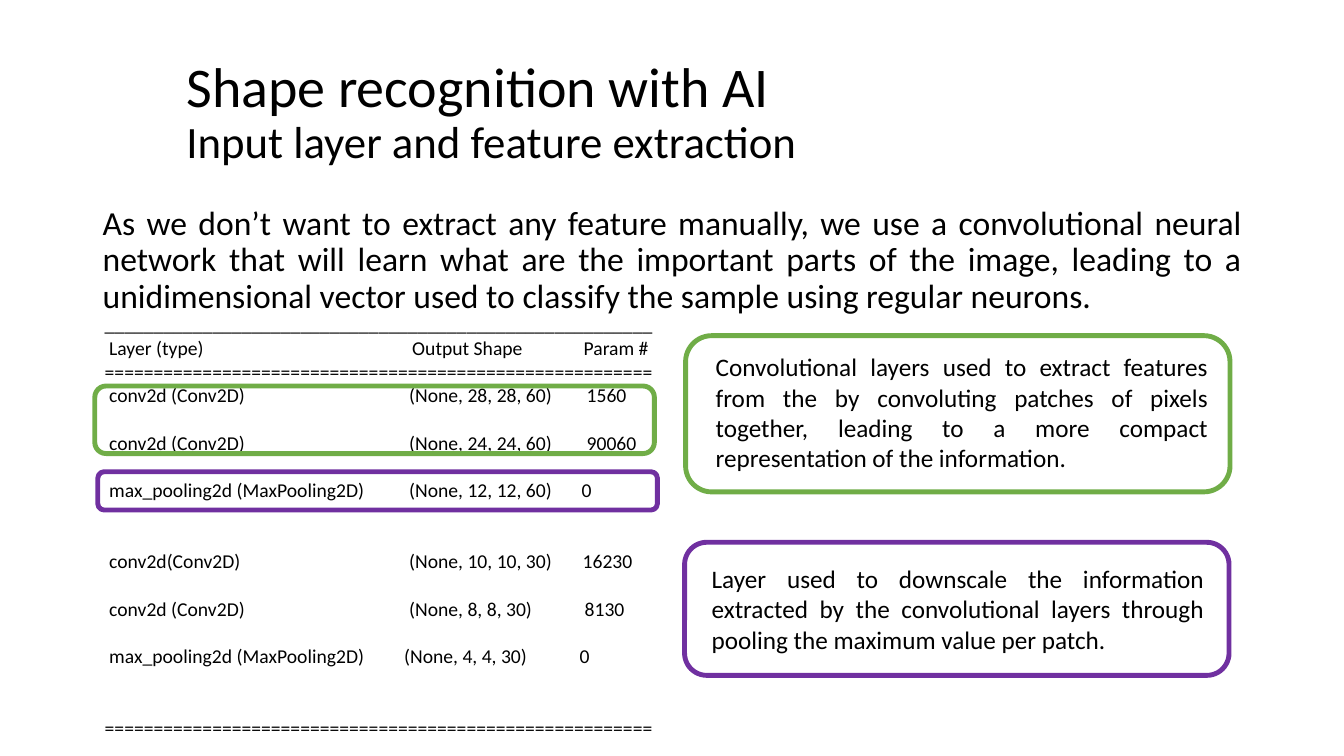
from dataclasses import dataclass
from typing import Any

from lxml.etree import SubElement
from pptx import Presentation
from pptx.dml.color import RGBColor
from pptx.enum.shapes import MSO_SHAPE
from pptx.enum.text import MSO_ANCHOR, PP_ALIGN
from pptx.oxml.ns import qn
from pptx.slide import Slide
from pptx.util import Inches, Pt


@dataclass(frozen=True)
class Theme:
    font: str = "Calibri"
    ink: RGBColor = RGBColor(0, 0, 0)
    convolution: RGBColor = RGBColor(0x70, 0xAD, 0x47)
    pooling: RGBColor = RGBColor(0x70, 0x30, 0xA0)
    title: float = 40
    subtitle: float = 32
    body: float = 24
    note: float = 18
    summary: float = 14
    outline: float = 3.5


@dataclass(frozen=True)
class Box:
    left: float
    top: float
    width: float
    height: float

    def lengths(self) -> tuple[int, ...]:
        return tuple(map(Inches, (self.left, self.top, self.width, self.height)))


@dataclass(frozen=True)
class Line:
    text: str
    size: float
    format: dict[str, Any]
    stops: tuple[float, ...] = ()


@dataclass(frozen=True)
class Layer:
    name: str
    shape: str
    params: str
    shape_at: float
    params_at: float
    blank_lines: int


@dataclass(frozen=True)
class Frame:
    box: Box
    color: RGBColor


THEME = Theme()
SUMMARY_PITCH = 17.1
RULE_LENGTH = 56
TIGHT = {"line_spacing": 0.9}
JUSTIFIED = {"alignment": PP_ALIGN.JUSTIFY}

LAYERS = [
    Layer("conv2d (Conv2D)", "(None, 28, 28, 60)", "1560", 3.02, 4.78, 0),
    Layer("conv2d (Conv2D)", "(None, 24, 24, 60)", "90060", 3.02, 4.78, 1),
    Layer("max_pooling2d (MaxPooling2D)", "(None, 12, 12, 60)", "0", 3.02, 4.73, 1),
    Layer("conv2d(Conv2D)", "(None, 10, 10, 30)", "16230", 3.02, 4.74, 2),
    Layer("conv2d (Conv2D)", "(None, 8, 8, 30)", "8130", 3.02, 4.76, 1),
    Layer("max_pooling2d (MaxPooling2D)", "(None, 4, 4, 30)", "0", 2.97, 4.71, 1),
]
HEADER = Layer("Layer (type)", "Output Shape", "Param #", 3.05, 4.75, 0)

FRAMES = [
    Frame(Box(0.94, 3.83, 5.55, 0.67), THEME.convolution),
    Frame(Box(0.97, 4.68, 5.55, 0.38), THEME.pooling),
    Frame(Box(6.8, 3.33, 5.4, 1.55), THEME.convolution),
    Frame(Box(6.79, 5.38, 5.4, 1.32), THEME.pooling),
]

INTRO = (
    "As we don’t want to extract any feature manually, we use a convolutional "
    "neural network that will learn what are the important parts of the image, "
    "leading to a unidimensional vector used to classify the sample using "
    "regular neurons."
)
CONVOLUTION_NOTE = (
    "Convolutional layers used to extract features from the by convoluting "
    "patches of pixels together, leading to a more compact representation of "
    "the information."
)
POOLING_NOTE = (
    "Layer used to downscale the information extracted by the convolutional "
    "layers through pooling the maximum value per patch."
)


def layer_line(layer: Layer) -> Line:
    return Line(
        f" {layer.name}\t{layer.shape}\t{layer.params}",
        THEME.summary,
        {"space_before": Pt(layer.blank_lines * SUMMARY_PITCH)},
        (layer.shape_at, layer.params_at),
    )


def rule_line(mark: str, blank_lines: int = 0) -> Line:
    gap = Pt(blank_lines * SUMMARY_PITCH)
    return Line(mark * RULE_LENGTH, THEME.summary, {"space_before": gap})


def add_text(slide: Slide, box: Box, lines: list[Line],
             anchor: MSO_ANCHOR = MSO_ANCHOR.TOP) -> None:
    frame = slide.shapes.add_textbox(*box.lengths()).text_frame
    frame.word_wrap = True
    frame.vertical_anchor = anchor
    for index, line in enumerate(lines):
        paragraph = frame.add_paragraph() if index else frame.paragraphs[0]
        for attribute, value in line.format.items():
            setattr(paragraph, attribute, value)
        if line.stops:
            tabs = SubElement(paragraph._p.get_or_add_pPr(), qn("a:tabLst"))
            for stop in line.stops:
                SubElement(tabs, qn("a:tab"), pos=str(Inches(stop)), algn="l")
        run = paragraph.add_run()
        run.text = line.text
        letters = {"name": THEME.font, "size": Pt(line.size)}
        for attribute, value in letters.items():
            setattr(run.font, attribute, value)
        run.font.color.rgb = THEME.ink


def add_frame(slide: Slide, frame: Frame) -> None:
    outline = slide.shapes.add_shape(MSO_SHAPE.ROUNDED_RECTANGLE, *frame.box.lengths())
    outline.shadow.inherit = False
    outline.fill.background()
    outline.line.color.rgb = frame.color
    outline.line.width = Pt(THEME.outline)


def main() -> None:
    deck = Presentation()
    deck.slide_width, deck.slide_height = Inches(13.33), Inches(7.5)
    slide = deck.slides.add_slide(deck.slide_layouts[6])

    add_text(slide, Box(1.75, 0.4, 8.53, 1.45), [
        Line("Shape recognition with AI", THEME.title, TIGHT),
        Line("Input layer and feature extraction", THEME.subtitle, TIGHT),
    ], MSO_ANCHOR.MIDDLE)
    add_text(slide, Box(0.92, 2, 11.5, 1.45),
             [Line(INTRO, THEME.body, TIGHT | JUSTIFIED)])
    add_text(slide, Box(0.94, 3.05, 5.72, 4.17), [
        rule_line("_"),
        layer_line(HEADER),
        rule_line("="),
        *map(layer_line, LAYERS),
        rule_line("=", blank_lines=2),
    ])
    for frame in FRAMES:
        add_frame(slide, frame)
    add_text(slide, Box(7, 3.44, 5.08, 1.31),
             [Line(CONVOLUTION_NOTE, THEME.note, JUSTIFIED)])
    add_text(slide, Box(6.96, 5.54, 5.08, 1.01),
             [Line(POOLING_NOTE, THEME.note, JUSTIFIED)])

    deck.save("out.pptx")


if __name__ == "__main__":
    main()
